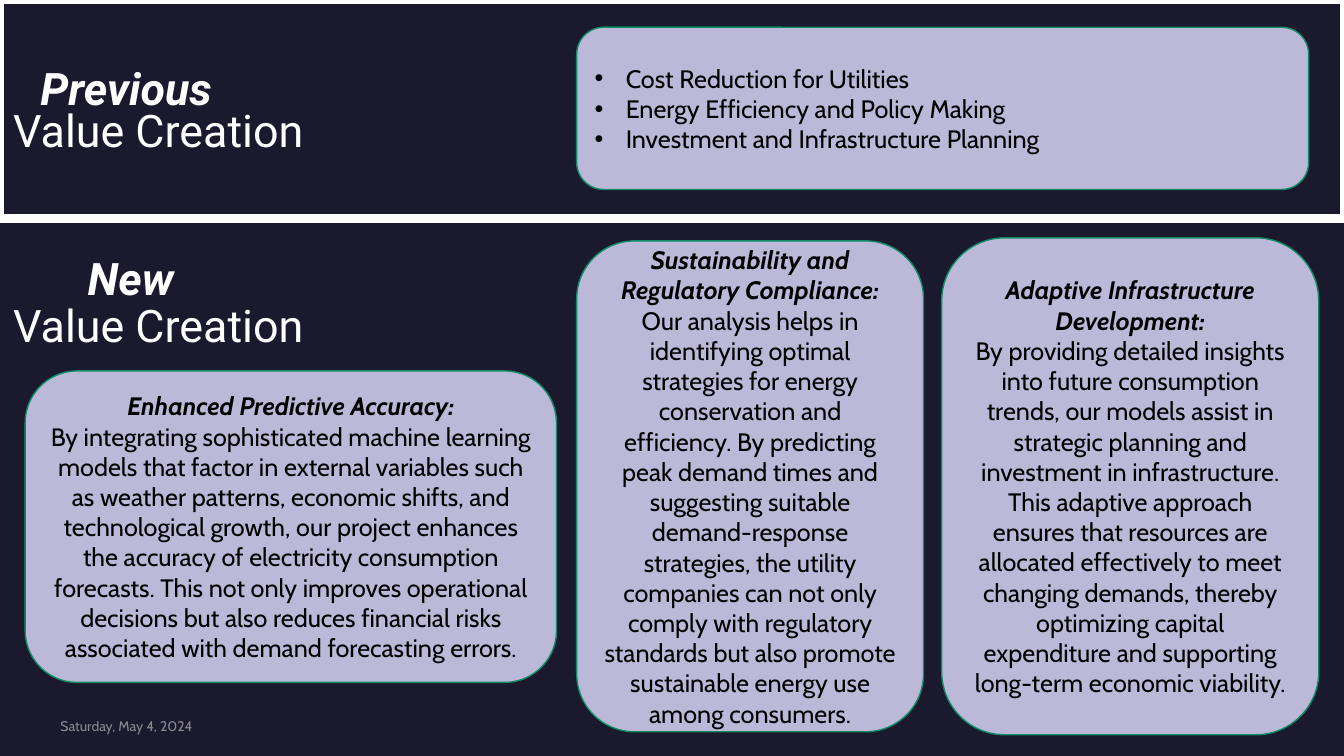
from dataclasses import dataclass

from lxml.etree import SubElement
from pptx import Presentation
from pptx.dml.color import RGBColor
from pptx.enum.shapes import MSO_SHAPE
from pptx.enum.text import MSO_ANCHOR, PP_ALIGN
from pptx.oxml.ns import qn
from pptx.shapes.autoshape import Shape
from pptx.slide import Slide
from pptx.text.text import TextFrame
from pptx.util import Inches, Pt

NIGHT = RGBColor(0x1B, 0x19, 0x2E)
LILAC = RGBColor(0xBB, 0xB8, 0xD8)
GREEN = RGBColor(0x0E, 0x8D, 0x65)
WHITE = RGBColor(0xFF, 0xFF, 0xFF)
BLACK = RGBColor(0x00, 0x00, 0x00)
GREY = RGBColor(0xA6, 0xA6, 0xA6)

Box = tuple[float, float, float, float]


@dataclass
class Label:
    text: str
    box: Box
    strong: bool = False


@dataclass
class Card:
    head: str
    body: str
    box: Box


LABELS = [
    Label("Previous", (0.4, 0.61, 2.39, 0.53), True),
    Label("Value Creation", (0.13, 0.62, 3.17, 0.93)),
    Label("New", (0.87, 2.49, 1.44, 0.53), True),
    Label("Value Creation", (0.13, 2.56, 3.17, 0.93)),
]

GOALS = [
    "Cost Reduction for Utilities",
    "Energy Efficiency and Policy Making",
    "Investment and Infrastructure Planning",
]

CARDS = [
    Card(
        "Enhanced Predictive Accuracy:",
        "By integrating sophisticated machine learning models that factor in "
        "external variables such as weather patterns, economic shifts, and "
        "technological growth, our project enhances the accuracy of "
        "electricity consumption forecasts. This not only improves "
        "operational decisions but also reduces financial risks associated "
        "with demand forecasting errors.",
        (0.25, 3.68, 5.27, 3.09),
    ),
    Card(
        "Sustainability and Regulatory Compliance:",
        "Our analysis helps in identifying optimal strategies for energy "
        "conservation and efficiency. By predicting peak demand times and "
        "suggesting suitable demand-response strategies, the utility "
        "companies can not only comply with regulatory standards but also "
        "promote sustainable energy use among consumers.",
        (5.72, 2.39, 3.44, 4.87),
    ),
    Card(
        "Adaptive Infrastructure Development:",
        "By providing detailed insights into future consumption trends, our "
        "models assist in strategic planning and investment in "
        "infrastructure. This adaptive approach ensures that resources are "
        "allocated effectively to meet changing demands, thereby optimizing "
        "capital expenditure and supporting long-term economic viability.",
        (9.34, 2.36, 3.74, 4.93),
    ),
]


def write(frame: TextFrame, text: str, *, size: float = 18,
          font: str = "Cabin", color: RGBColor = BLACK, strong: bool = False,
          align: PP_ALIGN = PP_ALIGN.LEFT, bullet: bool = False,
          alpha: int = 100) -> None:
    """Fill the first paragraph, or add one if text is already there."""
    para = frame.add_paragraph() if frame.text else frame.paragraphs[0]
    para.alignment = align
    run = para.add_run()
    run.text = text
    run.font.size = Pt(size)
    run.font.name = font
    run.font.color.rgb = color
    run.font.bold = run.font.italic = strong
    if alpha < 100:
        tint = run.font.fill._xPr.find(".//" + qn("a:srgbClr"))
        SubElement(tint, qn("a:alpha"), val=str(alpha * 1000))
    if bullet:
        props = para._p.get_or_add_pPr()
        props.set("marL", str(Inches(0.31)))
        props.set("indent", str(-Inches(0.31)))
        SubElement(props, qn("a:buFont"), typeface="Arial")
        SubElement(props, qn("a:buChar"), char="•")


def add_panel(slide: Slide, box: Box) -> TextFrame:
    panel: Shape = slide.shapes.add_shape(
        MSO_SHAPE.ROUNDED_RECTANGLE, *map(Inches, box))
    panel.shadow.inherit = False
    panel.fill.solid()
    panel.fill.fore_color.rgb = LILAC
    panel.line.color.rgb = GREEN
    panel.line.width = Pt(1)
    frame = panel.text_frame
    frame.word_wrap = True
    frame.vertical_anchor = MSO_ANCHOR.MIDDLE
    return frame


def add_text(slide: Slide, box: Box, anchor: MSO_ANCHOR) -> TextFrame:
    frame = slide.shapes.add_textbox(*map(Inches, box)).text_frame
    frame.word_wrap = True
    frame.vertical_anchor = anchor
    frame.margin_left = frame.margin_right = 0
    frame.margin_top = frame.margin_bottom = 0
    return frame


def add_border(slide: Slide, box: Box) -> None:
    border = slide.shapes.add_shape(MSO_SHAPE.RECTANGLE, *map(Inches, box))
    border.shadow.inherit = False
    border.fill.background()
    border.line.color.rgb = WHITE
    border.line.width = Pt(6)


def main() -> None:
    deck = Presentation()
    deck.slide_width, deck.slide_height = Inches(13.33), Inches(7.5)
    slide = deck.slides.add_slide(deck.slide_layouts[6])
    slide.background.fill.solid()
    slide.background.fill.fore_color.rgb = NIGHT

    add_border(slide, (0, 0, 13.33, 2.17))
    for label in LABELS:
        frame = add_text(slide, label.box, MSO_ANCHOR.BOTTOM)
        write(frame, label.text, size=32, font="Roboto", color=WHITE,
              strong=label.strong)

    date = add_text(slide, (0.6, 7.12, 2.88, 0.17), MSO_ANCHOR.MIDDLE)
    write(date, "Saturday, May 4, 2024", size=10, color=GREY, alpha=80)

    goals = add_panel(slide, (5.72, 0.27, 7.26, 1.61))
    for goal in GOALS:
        write(goals, goal, bullet=True)

    for card in CARDS:
        frame = add_panel(slide, card.box)
        write(frame, card.head, strong=True, align=PP_ALIGN.CENTER)
        write(frame, card.body, align=PP_ALIGN.CENTER)

    deck.save("out.pptx")


if __name__ == "__main__":
    main()
